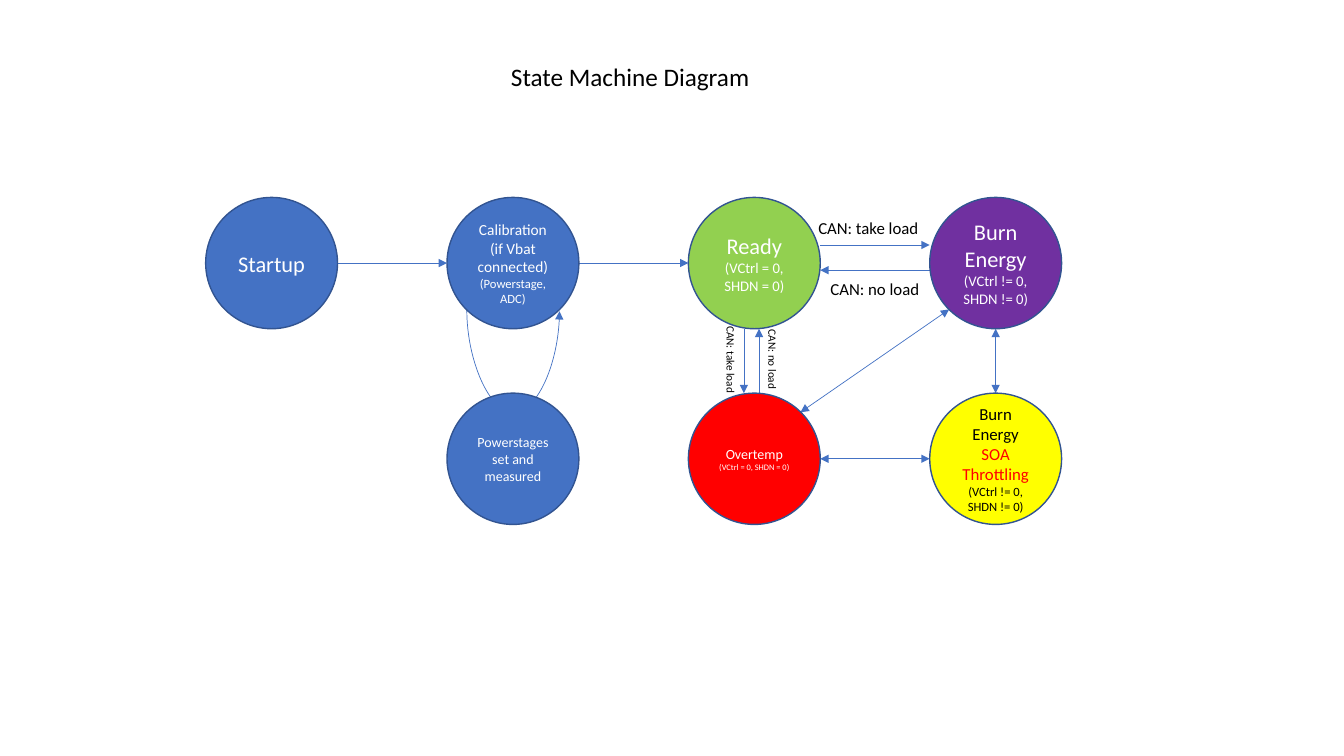
from pptx import Presentation
from pptx.dml.color import RGBColor
from pptx.enum.shapes import MSO_CONNECTOR as Link, MSO_SHAPE as Preset
from pptx.enum.text import MSO_ANCHOR as Anchor, MSO_AUTO_SIZE as AutoSize, PP_ALIGN as Align
from pptx.oxml.ns import qn
from pptx.util import Pt
from lxml import etree

WHITE, BLACK, BLUE, RED = "FFFFFF", "000000", "4472C4", "FF0000"
OUTLINE = "325491"

# Content: column, row, fill, paragraphs of (text, size, colour) runs
STATES = [
    (0, 0, BLUE, [[("Startup", 16, WHITE)]]),
    (1, 0, BLUE, [[("Calibration", 11, WHITE)],
                  [("(if Vbat connected) ", 11, WHITE), ("(Powerstage, ADC)", 9, WHITE)]]),
    (2, 0, "92D050", [[("Ready ", 16, WHITE), ("(VCtrl = 0, SHDN = 0)", 10.5, WHITE)]]),
    (3, 0, "7030A0", [[("Burn Energy ", 16, WHITE), ("(VCtrl != 0, SHDN != 0)", 10.5, WHITE)]]),
    (1, 1, BLUE, [[("Powerstages set and measured", 10, WHITE)]]),
    (2, 1, RED, [[("Overtemp ", 10, WHITE), ("(VCtrl = 0, SHDN = 0)", 6, WHITE)]]),
    (3, 1, "FFFF00", [[("Burn Energy", 12, BLACK)],
                      [("SOA Throttling ", 12, RED), ("(VCtrl != 0, SHDN != 0)", 9, BLACK)]]),
]
TITLE = "State Machine Diagram "
# Text, left, top, width, height, size, rotation, wrap
LABELS = [
    ("CAN: take load", 577.4, 151.9, 87.1, 21.8, 12, 0, False),
    ("CAN: no load", 586.1, 195.8, 78.5, 21.8, 12, 0, True),
    ("CAN: take load", 490.3, 249.1, 63.4, 17, 8, 90, False),
    ("CAN: no load", 512.6, 259.2, 78.5, 17, 8, 90, True),
]

# Grid of states
WIDTH, HEIGHT = 94.2, 93.8
LEFTS = [146.9 + 172.4 * column for column in range(4)]
RIGHTS = [left + WIDTH for left in LEFTS]
TOPS = [141, 280.8]
MIDDLES = [top + HEIGHT / 2 for top in TOPS]
UPPER_EDGE, LOWER_EDGE = TOPS[0] + HEIGHT, TOPS[1]
BURN_CENTRE = LEFTS[3] + WIDTH / 2

# Start x, start y, end x, end y, arrow at both ends
ARROWS = [
    (RIGHTS[0], MIDDLES[0], LEFTS[1], MIDDLES[0], False),
    (RIGHTS[1], MIDDLES[0], LEFTS[2], MIDDLES[0], False),
    (RIGHTS[2], 175, LEFTS[3], 175, False),
    (LEFTS[3], 193, RIGHTS[2], 193, False),
    (531.4, UPPER_EDGE, 531.4, LOWER_EDGE, False),
    (542.2, LOWER_EDGE, 542.2, UPPER_EDGE, False),
    (LEFTS[3], MIDDLES[1], RIGHTS[2], MIDDLES[1], True),
    (678, 221, 571.8, 294.5, True),
    (BURN_CENTRE, UPPER_EDGE, BURN_CENTRE, LOWER_EDGE, True),
]


def colour(value):
    return RGBColor.from_string(value)


def write(shape, paragraphs, align=Align.LEFT, anchor=Anchor.TOP, wrap=True):
    frame = shape.text_frame
    frame.auto_size = AutoSize.NONE
    frame.word_wrap = wrap
    frame.vertical_anchor = anchor
    for index, runs in enumerate(paragraphs):
        para = frame.add_paragraph() if index else frame.paragraphs[0]
        para.alignment = align
        for text, size, tint in runs:
            span = para.add_run()
            span.text = text
            span.font.name = "Calibri"
            span.font.size = Pt(size)
            span.font.color.rgb = colour(tint)


def connect(x1, y1, x2, y2, both=False, kind=Link.STRAIGHT):
    arrow = slide.shapes.add_connector(kind, Pt(x1), Pt(y1), Pt(x2), Pt(y2))
    arrow.line.color.rgb = colour(BLUE)
    arrow.line.width = Pt(0.5)
    line = arrow.line._get_or_add_ln()
    for end in ("headEnd", "tailEnd") if both else ("tailEnd",):
        etree.SubElement(line, qn(f"a:{end}"), type="triangle")
    etree.SubElement(arrow._element.spPr, qn("a:effectLst"))
    return arrow


deck = Presentation()
deck.slide_width, deck.slide_height = Pt(960), Pt(540)
slide = deck.slides.add_slide(deck.slide_layouts[5])

# Title
title = slide.shapes.title
title.left, title.top, title.width, title.height = Pt(357.8), Pt(40.3), Pt(189.4), Pt(28.8)
write(title, [[(TITLE, 18, BLACK)]], wrap=False)

# Arrows
for arrow_ends in ARROWS:
    connect(*arrow_ends)

# Curved arrow: a one-point-wide connector turned so that it bulges 74 pt downwards
loop = connect(367, 188.7, 366, 254.9, kind=Link.CURVE)
properties = loop._element.spPr
properties.find(qn("a:xfrm")).set("rot", str(270 * 60000))
guides = properties.find(qn("a:prstGeom")).find(qn("a:avLst"))
etree.SubElement(guides, qn("a:gd"), name="adj1", fmla="val 7400000")

# State circles
for column, row, fill, paragraphs in STATES:
    circle = slide.shapes.add_shape(Preset.OVAL, Pt(LEFTS[column]), Pt(TOPS[row]),
                                    Pt(WIDTH), Pt(HEIGHT))
    circle.shadow.inherit = False
    circle.fill.solid()
    circle.fill.fore_color.rgb = colour(fill)
    circle.line.color.rgb = colour(OUTLINE)
    circle.line.width = Pt(1)
    write(circle, paragraphs, align=Align.CENTER, anchor=Anchor.MIDDLE)

# Arrow labels
for text, left, top, width, height, size, rotation, wrap in LABELS:
    box = slide.shapes.add_textbox(Pt(left), Pt(top), Pt(width), Pt(height))
    box.rotation = rotation
    write(box, [[(text, size, BLACK)]], wrap=wrap)

deck.save("out.pptx")
